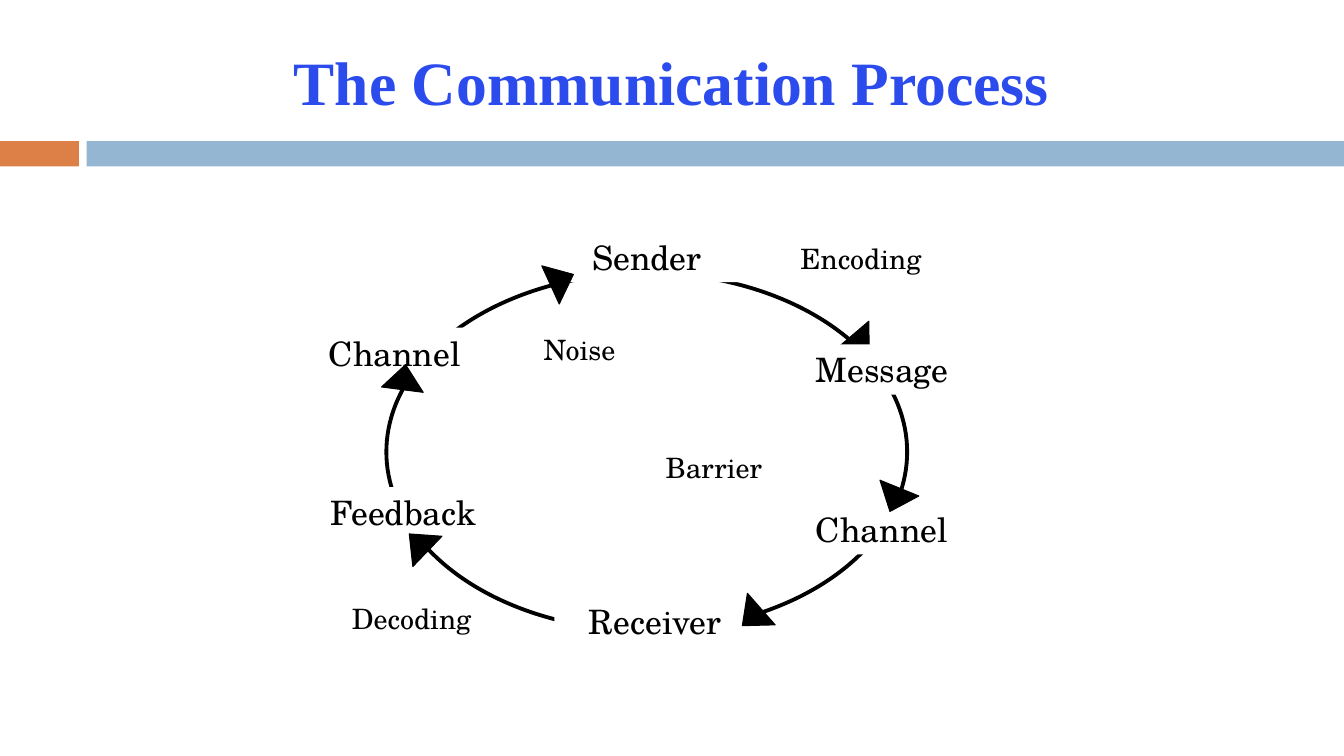
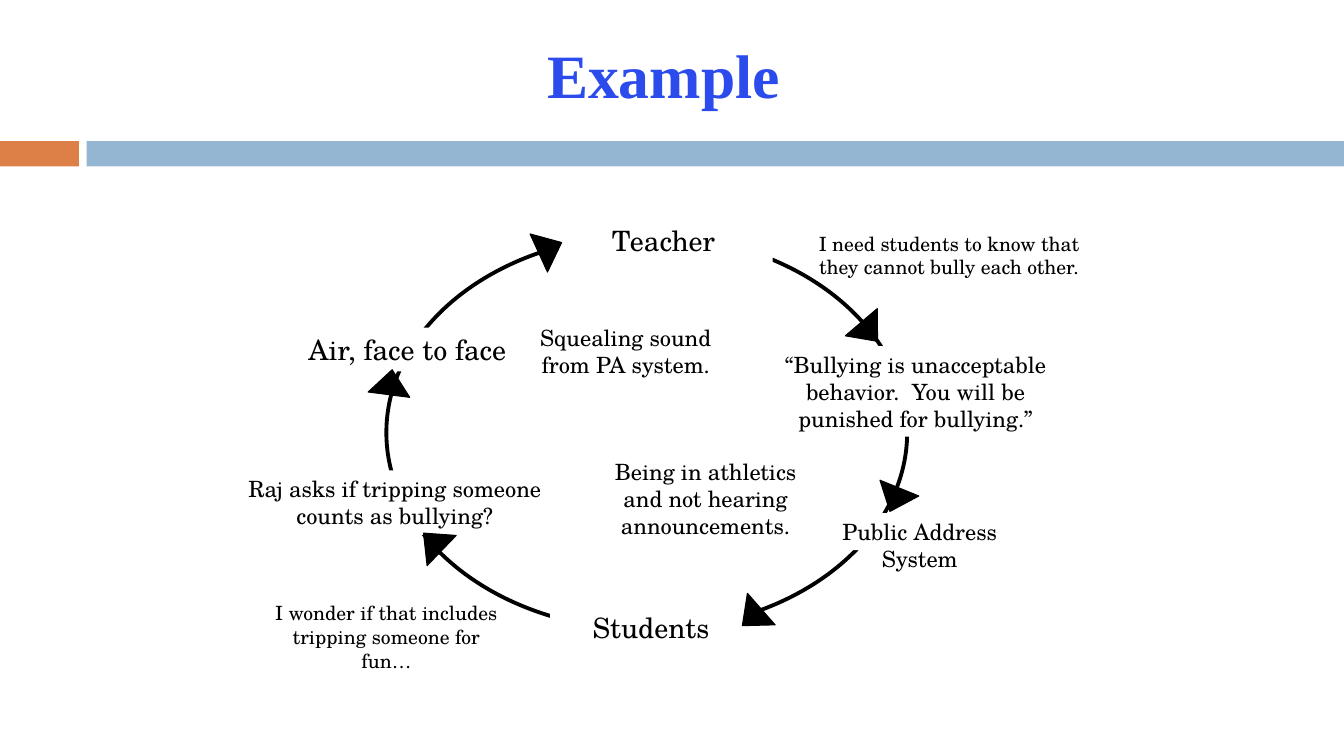
from dataclasses import dataclass

from pptx import Presentation
from pptx import util as u
from pptx.dml.color import RGBColor
from pptx.enum import shapes, text

COLUMNS, ROWS = 160, 90
WIDTH, HEIGHT = u.Inches(13.33), u.Inches(7.5)
ARROW_ANGLES = (139.6, 202.1, 228.7, 313.9, 7.3, 65.4)
ARROW_SIZE = (5, 3)


@dataclass(frozen=True)
class Theme:
    """Colours, fonts and type sizes of the presentation."""
    paper: str = "FFFFFF"
    ink: str = "000000"
    title: str = "2B4BED"
    accent: str = "DD8047"
    band: str = "94B6D2"
    title_font: str = "Times New Roman"
    body_font: str = "TeX Gyre Schola"
    title_size: int = 44
    step: int = 24
    label: int = 20
    detail: int = 16
    note: int = 14
    ring_line: float = 2.75
    arrow_line: float = 0.75


THEME = Theme()


def grid(left, top, width, height):
    """Turn columns and rows into slide lengths."""
    return (int(WIDTH * left / COLUMNS), int(HEIGHT * top / ROWS),
            int(WIDTH * width / COLUMNS), int(HEIGHT * height / ROWS))


def paint(shape, colour):
    """Fill a shape with one colour."""
    shape.fill.solid()
    shape.fill.fore_color.rgb = RGBColor.from_string(colour)


def write(shape, words, font_name, size, colour, bold=False):
    """Put centred, wrapped text in a shape."""
    frame = shape.text_frame
    frame.text = words
    frame.word_wrap = True
    frame.auto_size = text.MSO_AUTO_SIZE.NONE
    for paragraph in frame.paragraphs:
        paragraph.alignment = text.PP_ALIGN.CENTER
        for run in paragraph.runs:
            run.font.name, run.font.size, run.font.bold = font_name, u.Pt(size), bold
            run.font.color.rgb = RGBColor.from_string(colour)


def add_figure(slide, kind, box, fill, line_width=None):
    """Add a flat preset shape, outlined in ink if a width is given."""
    shape = slide.shapes.add_shape(kind, *grid(*box))
    shape.shadow.inherit = False
    paint(shape, fill)
    if line_width is None:
        shape.line.fill.background()
    else:
        shape.line.color.rgb = RGBColor.from_string(THEME.ink)
        shape.line.width = u.Pt(line_width)
    return shape


def add_label(slide, words, size, box, filled):
    """Add a text, on a paper fill where it interrupts the ring."""
    label = slide.shapes.add_textbox(*grid(*box))
    if filled:
        paint(label, THEME.paper)
    write(label, words, THEME.body_font, size, THEME.ink)


def add_title(slide, words, box):
    """Place and format the title placeholder."""
    title = slide.shapes.title
    title.left, title.top, title.width, title.height = grid(*box)
    write(title, words, THEME.title_font, THEME.title_size, THEME.title, bold=True)
    title.text_frame.vertical_anchor = text.MSO_ANCHOR.MIDDLE


def add_arrows(slide, corners):
    """Add the arrowheads clockwise around the ring."""
    for corner, angle in zip(corners, ARROW_ANGLES):
        arrow = add_figure(slide, shapes.MSO_SHAPE.ISOSCELES_TRIANGLE,
                           corner + ARROW_SIZE, THEME.ink, THEME.arrow_line)
        arrow.rotation = angle


def add_bands(slide, layout):
    """Draw the two bands and hand them to the layout."""
    bands = (((0, 16.8, 9.4, 3), THEME.accent), ((10.3, 16.8, 149.7, 3), THEME.band))
    for number, (box, colour) in enumerate(bands):
        band = add_figure(slide, shapes.MSO_SHAPE.RECTANGLE, box, colour)
        band.element.nvSpPr.cNvPr.set("id", str(20 + number))
        layout.shapes.element.insert(2 + number, band.element)


def add_cycle(slide, ring, steps, arrows, notes, front=()):
    """Build a cycle: ring, steps, arrows, notes and steps in front."""
    add_figure(slide, shapes.MSO_SHAPE.OVAL, ring, THEME.paper, THEME.ring_line)
    for step in steps:
        add_label(slide, *step, filled=True)
    add_arrows(slide, arrows)
    for note in notes:
        add_label(slide, *note, filled=False)
    for step in front:
        add_label(slide, *step, filled=True)


def build_process(slide):
    """Fill the slide that names the parts of the process."""
    add_title(slide, "The Communication Process", (17, 3.6, 126, 12.1))
    add_cycle(
        slide,
        ring=(46, 32.5, 62, 42.6),
        steps=(
            ("Sender", THEME.step, (65, 27.6, 24, 6)),
            ("Channel", THEME.step, (90, 60, 30, 6)),
            ("Receiver", THEME.step, (66, 71, 24, 6)),
            ("Feedback", THEME.step, (33, 58, 30, 6)),
            ("Channel", THEME.step, (32, 39, 30, 6)),
        ),
        arrows=((100, 39.5), (104, 58), (87, 72), (47.3, 63.1), (45.6, 43.4), (64.4, 31.8)),
        notes=(
            ("Encoding", THEME.label, (87.5, 28.1, 30, 5.2)),
            ("Decoding", THEME.label, (34, 71, 30, 5.2)),
            ("Noise", THEME.label, (61, 39, 16, 5.2)),
            ("Barrier", THEME.label, (77, 53, 16, 5.2)),
        ),
        front=(("Message", THEME.step, (90, 41, 30, 6)),),
    )


def build_example(slide):
    """Fill the slide that shows the process at a school."""
    add_title(slide, "Example", (16, 3.7, 126, 10.2))
    add_cycle(
        slide,
        ring=(46, 28, 62, 47),
        steps=(
            ("Teacher", THEME.label, (66, 26, 26, 5.2)),
            ("Public Address System", THEME.detail, (96, 61.1, 27, 4.4)),
            ("Students", THEME.label, (65.5, 72.1, 24, 5.3)),
            ("Raj asks if tripping someone counts as bullying?", THEME.detail,
             (25, 56, 44, 7.7)),
            ("Air, face to face", THEME.label, (32, 39, 33, 5.2)),
            ("“Bullying is unacceptable behavior.  You will be punished for bullying.”",
             THEME.detail, (90, 41.2, 38, 10.8)),
        ),
        arrows=((101, 38), (104, 58), (87, 72), (49, 63), (44, 44), (63, 28)),
        notes=(
            ("I need students to know that they cannot bully each other.", THEME.note,
             (95, 27, 36, 6.8)),
            ("I wonder if that includes tripping someone for fun…", THEME.note,
             (31, 71, 30, 6.8)),
            ("Squealing sound from PA system.", THEME.detail, (62, 38, 25, 7.7)),
            ("Being in athletics and not hearing announcements.", THEME.detail,
             (72, 54, 24, 10.8)),
        ),
    )


def main():
    """Build and save the presentation."""
    presentation = Presentation()
    presentation.slide_width, presentation.slide_height = WIDTH, HEIGHT
    layout = presentation.slide_layouts.get_by_name("Title Only")
    process, example = (presentation.slides.add_slide(layout) for _ in range(2))
    add_bands(process, layout)
    build_process(process)
    build_example(example)
    presentation.save("out.pptx")


if __name__ == "__main__":
    main()
